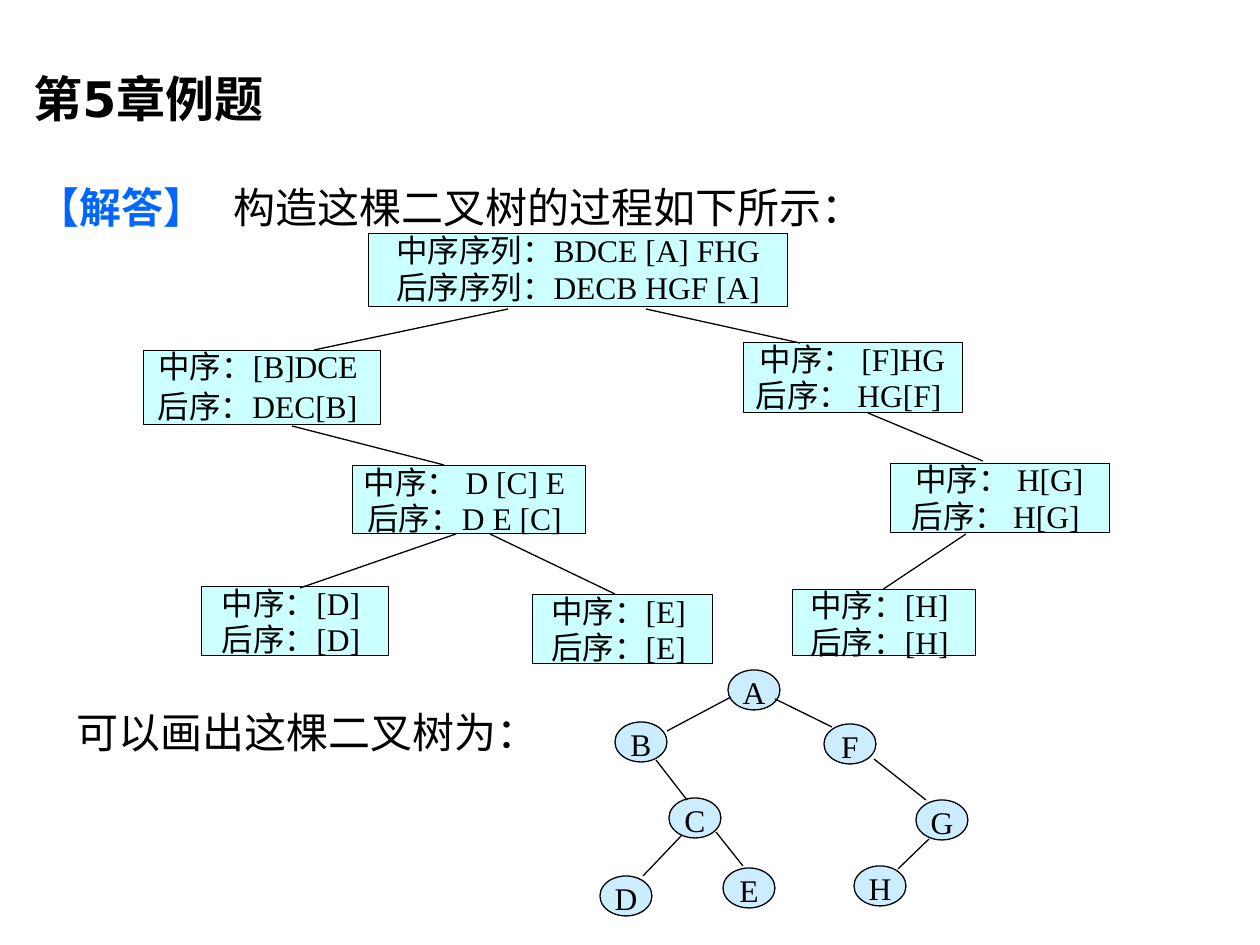
from lxml import etree
from pptx import Presentation
from pptx.dml.color import RGBColor
from pptx.enum.lang import MSO_LANGUAGE_ID
from pptx.enum.shapes import MSO_CONNECTOR, MSO_SHAPE
from pptx.enum.text import MSO_ANCHOR, PP_ALIGN
from pptx.oxml.ns import qn
from pptx.util import Emu, Pt

RECT, OVAL = MSO_SHAPE.RECTANGLE, MSO_SHAPE.OVAL
STRAIGHT = MSO_CONNECTOR.STRAIGHT
TOP, MIDDLE = MSO_ANCHOR.TOP, MSO_ANCHOR.MIDDLE
CENTER = PP_ALIGN.CENTER
CHINESE = MSO_LANGUAGE_ID.SIMPLIFIED_CHINESE

COLORS = {"text": "000000", "answer": "0066FF", "box": "CCFFFF", "node": "CCECFF"}
CJK, SERIF, SANS, TITLE_FONT = "Noto Sans CJK SC", "Times New Roman", "Arial", "DejaVu Sans"

# Headings: box, anchor, runs of (text, size, font, color, bold)
HEADINGS = [
    ((21, 59, 281, 78), MIDDLE, [("第5章例题", 28, TITLE_FONT, "text", True)]),
    ((25, 175, 1176, 63), TOP, [
        ("【解答】\t", 24, SANS, "answer", True),
        ("构造这棵二叉树的过程如下所示", 24, CJK, "text", False),
        ("：", 24, SERIF, "text", False)]),
    ((64, 700, 483, 63), TOP, [("可以画出这棵二叉树为：", 24, CJK, "text", False)]),
]
ANSWER_TAB = 196

# Construction steps: root -> box, lines
STEPS = {
    "A": ((368, 234, 420, 73), "中序序列：BDCE [A] FHG\n后序序列：DECB HGF [A]"),
    "B": ((143, 350, 238, 75), "中序：[B]DCE \n后序：DEC[B]"),
    "F": ((743, 342, 219, 71), "中序： [F]HG\n后序： HG[F] "),
    "C": ((352, 465, 233, 68), "中序： D [C] E \n后序：D E [C] "),
    "G": ((890, 463, 219, 70), "中序： H[G]\n后序： H[G] "),
    "D": ((201, 586, 188, 70), "中序：[D] \n后序：[D] "),
    "E": ((532, 594, 181, 70), "中序：[E] \n后序：[E] "),
    "H": ((792, 589, 183, 67), "中序：[H] \n后序：[H] "),
}
STEP_LINES = [
    (508, 309, 314, 350), (646, 309, 800, 343), (292, 426, 444, 465),
    (456, 534, 300, 588), (490, 534, 615, 594), (868, 413, 983, 461),
]
LAST_STEP_LINE = (966, 534, 884, 589)

# Finished tree: label -> left, top
NODE_SIZE = (52, 40)
NODES = {
    "A": (728, 670), "F": (824, 724), "G": (916, 800), "H": (854, 866),
    "E": (723, 868), "D": (600, 876), "C": (669, 798), "B": (615, 722),
}
TREE_LINES = [
    (731, 697, 667, 731), (775, 699, 832, 727), (656, 760, 687, 800),
    (716, 832, 743, 866), (682, 835, 643, 876), (874, 759, 926, 800),
    (929, 839, 898, 869),
]


def px(n):
    return Emu(round(n * 914400 / 126))


def rgb(name):
    return RGBColor.from_string(COLORS[name])


def style(r, size, font, color="text", bold=False):
    f = r.font
    f.size, f.name, f.bold = Pt(size), font, bold
    f.color.rgb = rgb(color)
    f.language_id = CHINESE
    ea = etree.Element(qn("a:ea"), typeface=CJK)
    r._r.rPr.find(qn("a:latin")).addnext(ea)


def add_label(s, kind, box, text, fill, width):
    sp = s.shapes.add_shape(kind, *map(px, box))
    sp.shadow.inherit = False
    sp.fill.solid()
    sp.fill.fore_color.rgb = rgb(fill)
    sp.line.color.rgb = rgb("text")
    sp.line.width = Pt(width)
    tf = sp.text_frame
    tf.margin_left = tf.margin_right = tf.margin_top = tf.margin_bottom = 0
    tf.vertical_anchor = TOP
    tf.word_wrap = True
    tf.text = text
    for p in tf.paragraphs:
        p.alignment = CENTER
        p.line_spacing = 0.96
        style(p.runs[0], 18, SERIF)
    return sp


def add_line(s, points):
    line = s.shapes.add_connector(STRAIGHT, *map(px, points))
    line.line.color.rgb = rgb("text")
    line.line.width = Pt(0.75)
    etree.SubElement(line._element.spPr, qn("a:effectLst"))
    return line


def add_heading(s, box, anchor, runs):
    tf = s.shapes.add_textbox(*map(px, box)).text_frame
    tf.word_wrap = True
    tf.vertical_anchor = anchor
    p = tf.paragraphs[0]
    if "\t" in runs[0][0]:
        tabs = etree.SubElement(p._p.get_or_add_pPr(), qn("a:tabLst"))
        etree.SubElement(tabs, qn("a:tab"), pos=str(px(ANSWER_TAB)), algn="l")
    for text, *look in runs:
        r = p.add_run()
        r.text = text
        style(r, *look)


def main():
    prs = Presentation()
    prs.slide_width, prs.slide_height = px(1260), px(945)
    s = prs.slides.add_slide(prs.slide_layouts[6])

    for heading in HEADINGS:
        add_heading(s, *heading)

    # Construction steps
    steps = {root: add_label(s, RECT, box, text, "box", 0.5)
             for root, (box, text) in STEPS.items()}
    tail = steps["B"].text_frame.paragraphs[1].add_run()
    tail.text = " "
    style(tail, 20, SERIF)
    for points in STEP_LINES:
        add_line(s, points)
    add_line(s, LAST_STEP_LINE).end_connect(steps["H"], 0)

    # Finished tree
    for label, corner in NODES.items():
        add_label(s, OVAL, corner + NODE_SIZE, label, "node", 0.75)
    for points in TREE_LINES:
        add_line(s, points)

    prs.save("out.pptx")


if __name__ == "__main__":
    main()
